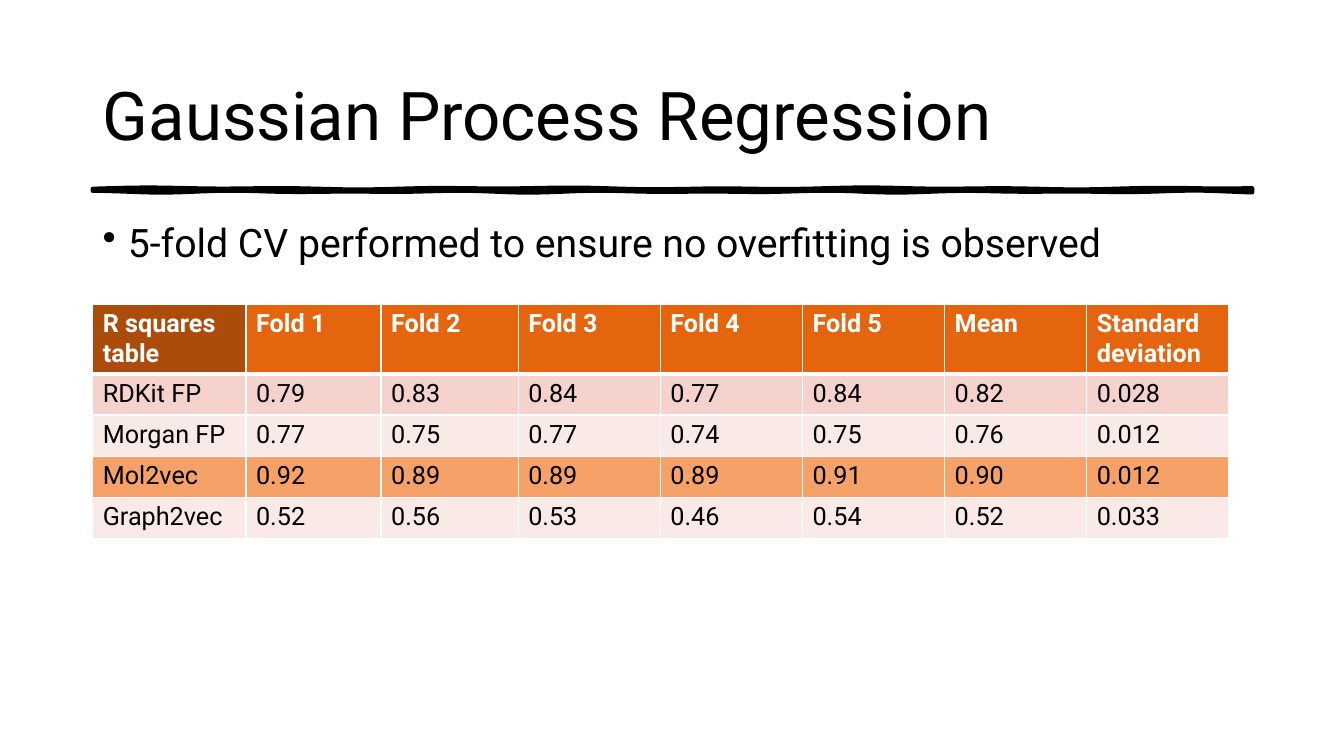
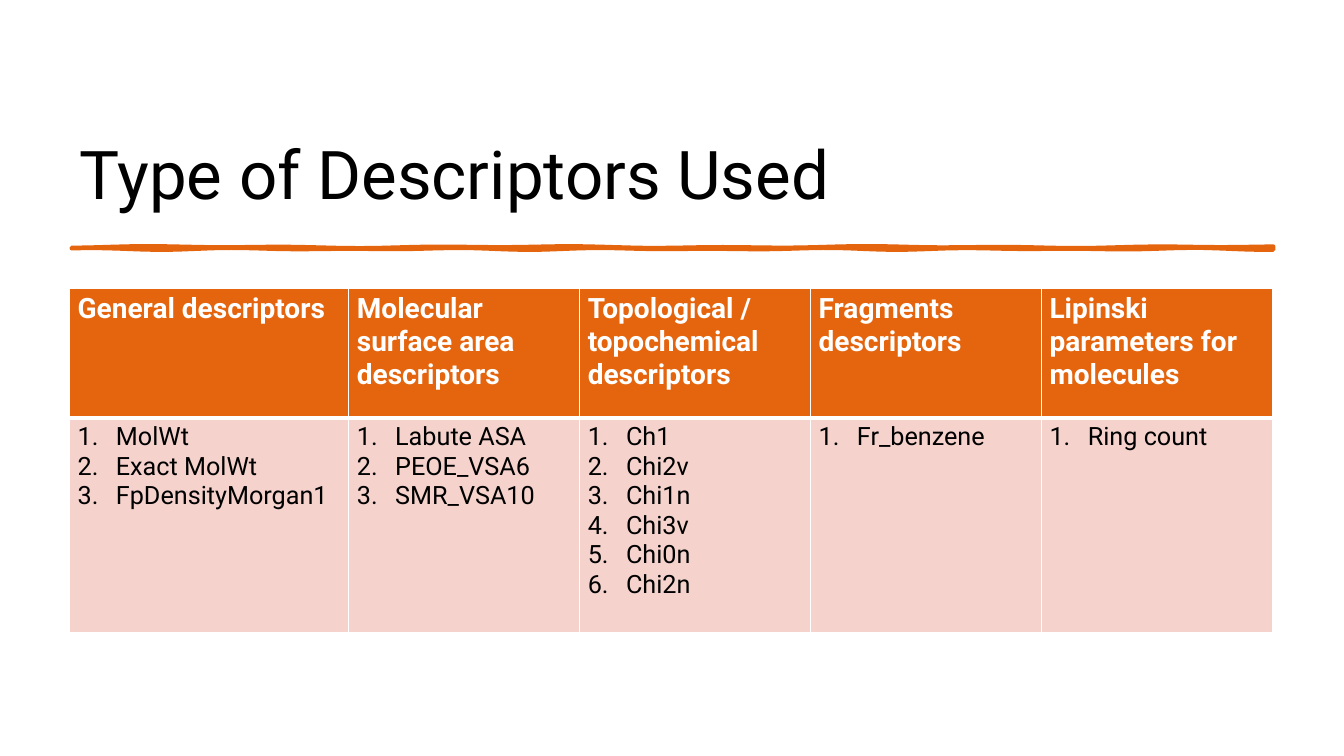
from math import sin

from lxml import etree
from pptx import Presentation
from pptx.dml.color import RGBColor
from pptx.enum.text import MSO_ANCHOR, MSO_AUTO_SIZE, PP_ALIGN
from pptx.oxml.ns import qn
from pptx.util import Inches, Pt

FONT = "Roboto"
BLACK = RGBColor(0x00, 0x00, 0x00)
WHITE = RGBColor(0xFF, 0xFF, 0xFF)
ORANGE = RGBColor(0xE4, 0x65, 0x0E)
DARK_ORANGE = RGBColor(0xAB, 0x4C, 0x0B)
HIGHLIGHT = RGBColor(0xF6, 0xA1, 0x68)
ROSE = RGBColor(0xF5, 0xD3, 0xCC)
PALE_ROSE = RGBColor(0xFA, 0xEA, 0xE7)

THIN, THICK = 1, 3

FOLD_SCORES = [
    ["R squares table", "Fold 1", "Fold 2", "Fold 3", "Fold 4", "Fold 5", "Mean", "Standard deviation"],
    ["RDKit FP", "0.79", "0.83", "0.84", "0.77", "0.84", "0.82", "0.028"],
    ["Morgan FP", "0.77", "0.75", "0.77", "0.74", "0.75", "0.76", "0.012"],
    ["Mol2vec", "0.92", "0.89", "0.89", "0.89", "0.91", "0.90", "0.012"],
    ["Graph2vec", "0.52", "0.56", "0.53", "0.46", "0.54", "0.52", "0.033"],
]
SCORE_FILLS = [ORANGE, ROSE, PALE_ROSE, HIGHLIGHT, PALE_ROSE]

DESCRIPTORS = {
    "General descriptors": ["MolWt", "Exact MolWt", "FpDensityMorgan1"],
    "Molecular surface area descriptors": ["Labute ASA", "PEOE_VSA6", "SMR_VSA10"],
    "Topological / topochemical descriptors": ["Ch1", "Chi2v", "Chi1n", "Chi3v", "Chi0n", "Chi2n"],
    "Fragments descriptors": ["Fr_benzene"],
    "Lipinski parameters for molecules": ["Ring count"],
}


def style_paragraph(paragraph, size, color, bold=False):
    """Set the font of a whole paragraph."""
    font = paragraph.font
    font.name, font.size, font.bold = FONT, Pt(size), bold
    font.color.rgb = color


def add_marker(paragraph, tag, indent, **attributes):
    """Give a paragraph a hanging bullet or number."""
    properties = paragraph._p.get_or_add_pPr()
    properties.set("marL", str(Inches(indent)))
    properties.set("indent", str(-Inches(indent)))
    etree.SubElement(properties, qn(tag), attributes)


def add_title_slide(prs, title, left, top, width, height):
    """Add a title-only slide with its title in the given box."""
    slide = prs.slides.add_slide(prs.slide_layouts[5])
    heading = slide.shapes.title
    heading.left, heading.top = Inches(left), Inches(top)
    heading.width, heading.height = Inches(width), Inches(height)
    frame = heading.text_frame
    frame.text = title
    frame.word_wrap = True
    frame.auto_size = MSO_AUTO_SIZE.NONE
    frame.vertical_anchor = MSO_ANCHOR.MIDDLE
    frame.paragraphs[0].alignment = PP_ALIGN.LEFT
    style_paragraph(frame.paragraphs[0], 48, BLACK)
    return slide


def add_brush_rule(slide, left, top, width, height, color, weight):
    """Draw a rule with gently uneven edges, like a brush stroke."""
    steps = 120
    xs = [left + width * step / steps for step in range(steps + 1)]
    upper = [(x, top + 0.01 * sin(3.1 * x) * sin(1.3 * x)) for x in xs]
    lower = [(x, top + height + 0.01 * sin(4.3 * x + 1) * sin(0.9 * x)) for x in xs]
    outline = [(Inches(x), Inches(y)) for x, y in upper + lower[::-1]]
    builder = slide.shapes.build_freeform(*outline[0], scale=1.0)
    builder.add_line_segments(outline[1:], close=True)
    rule = builder.convert_to_shape()
    rule.shadow.inherit = False
    rule.fill.solid()
    rule.fill.fore_color.rgb = color
    rule.line.color.rgb = color
    rule.line.width = Pt(weight)


def style_cell(cell, row, fill):
    """Draw white borders, heavier below the header, and fill a cell."""
    properties = cell._tc.get_or_add_tcPr()
    weights = {
        "L": THIN,
        "R": THIN,
        "T": THICK if row == 1 else THIN,
        "B": THICK if row == 0 else THIN,
    }
    for side, weight in weights.items():
        border = etree.SubElement(properties, qn(f"a:ln{side}"), w=str(Pt(weight)))
        paint = etree.SubElement(border, qn("a:solidFill"))
        etree.SubElement(paint, qn("a:srgbClr"), val=str(WHITE))
    cell.fill.solid()
    cell.fill.fore_color.rgb = fill


def add_grid(slide, left, top, widths, heights, rows, fills, header_size, numbered=False):
    """Add a table with a bold header row and one fill for each row."""
    table = slide.shapes.add_table(
        len(rows), len(widths), Inches(left), Inches(top),
        Inches(sum(widths)), Inches(sum(heights)),
    ).table
    table.horz_banding = False
    for column, width in zip(table.columns, widths):
        column.width = Inches(width)
    for row, (texts, height, fill) in enumerate(zip(rows, heights, fills)):
        table.rows[row].height = Inches(height)
        for column, text in enumerate(texts):
            cell = table.cell(row, column)
            cell.text = text
            style_cell(cell, row, fill)
            for paragraph in cell.text_frame.paragraphs:
                if row == 0:
                    style_paragraph(paragraph, header_size, WHITE, bold=True)
                    continue
                if numbered:
                    add_marker(paragraph, "a:buAutoNum", 0.38, type="arabicPeriod")
                style_paragraph(paragraph, 18, BLACK)
    return table


def add_bullet(slide, text, left, top, width, height):
    """Add one bulleted statement in the given box."""
    frame = slide.shapes.add_textbox(
        Inches(left), Inches(top), Inches(width), Inches(height)
    ).text_frame
    frame.word_wrap = True
    statement = frame.paragraphs[0]
    statement.text = text
    statement.line_spacing = 1.1
    add_marker(statement, "a:buChar", 0.25, char="•")
    style_paragraph(statement, 28, BLACK)


def build_regression_slide(prs):
    """Build the slide with the cross-validation scores."""
    left, width = 0.92, 11.5
    slide = add_title_slide(prs, "Gaussian Process Regression", left, 0.4, width, 1.45)
    add_brush_rule(slide, left, 1.87, width, 0.03, BLACK, 3)
    widths = [1.52, 1.34, 1.36] + [1.41] * 5
    heights = [0.68] + [0.41] * 4
    scores = add_grid(slide, left, 3.02, widths, heights, FOLD_SCORES, SCORE_FILLS, 18)
    scores.cell(0, 0).fill.fore_color.rgb = DARK_ORANGE
    add_bullet(slide, "5-fold CV performed to ensure no overfitting is observed", left, 2.07, width, 0.73)


def build_descriptors_slide(prs):
    """Build the slide with the descriptors of each type."""
    left = 0.69
    slide = add_title_slide(prs, "Type of Descriptors Used", left, 0.99, 12.57, 1.44)
    add_brush_rule(slide, 0.71, 2.45, 11.92, 0.02, ORANGE, 2.75)
    rows = [list(DESCRIPTORS), ["\n".join(names) for names in DESCRIPTORS.values()]]
    widths = [2.77] + [2.29] * 4
    table = add_grid(slide, left, 2.86, widths, [1.29, 2.13], rows, [ORANGE, ROSE], 20, numbered=True)
    for cell in table.iter_cells():
        cell.margin_left = cell.margin_right = Inches(0.08)
        cell.margin_top = cell.margin_bottom = Inches(0.04)


def main():
    """Build and save the presentation."""
    prs = Presentation()
    prs.slide_width, prs.slide_height = Inches(13.33), Inches(7.5)
    build_regression_slide(prs)
    build_descriptors_slide(prs)
    prs.save("out.pptx")


if __name__ == "__main__":
    main()
